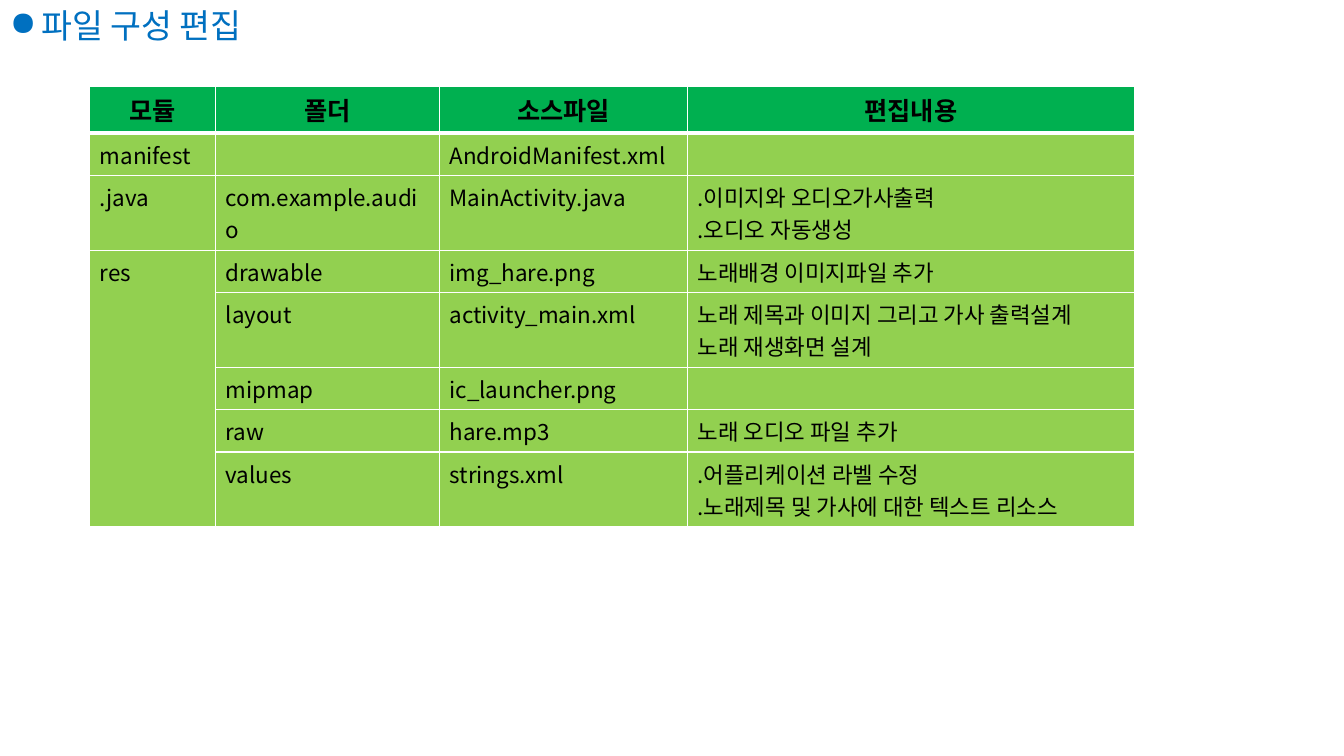
from lxml import etree
from pptx import Presentation
from pptx.dml.color import RGBColor
from pptx.enum.text import MSO_AUTO_SIZE, PP_ALIGN
from pptx.oxml.ns import qn
from pptx.util import Inches, Pt

CENTER, LEFT = PP_ALIGN.CENTER, PP_ALIGN.LEFT
FIT_SHAPE = MSO_AUTO_SIZE.SHAPE_TO_FIT_TEXT
FONT = "Noto Sans CJK KR"
BLACK, WHITE, BLUE = "000000", "FFFFFF", "0070C0"
HEADER_GREEN, BODY_GREEN = "00B050", "92D050"

COLUMN_WIDTHS = [1.25, 2.22, 2.46, 4.43]
HEADER_HEIGHT, SINGLE_HEIGHT, DOUBLE_HEIGHT = 0.45, 0.42, 0.74
RES_ROW = 3
ROWS = [
    ["모듈", "폴더", "소스파일", "편집내용"],
    ["manifest", "", "AndroidManifest.xml", ""],
    [".java", "com.example.audio", "MainActivity.java", ".이미지와 오디오가사출력\n.오디오 자동생성"],
    ["res", "drawable", "img_hare.png", "노래배경 이미지파일 추가"],
    ["", "layout", "activity_main.xml", "노래 제목과 이미지 그리고 가사 출력설계\n노래 재생화면 설계"],
    ["", "mipmap", "ic_launcher.png", ""],
    ["", "raw", "hare.mp3", "노래 오디오 파일 추가"],
    ["", "values", "strings.xml", ".어플리케이션 라벨 수정\n.노래제목 및 가사에 대한 텍스트 리소스"],
]


def color(value):
    """Turn a hex string into a colour."""
    return RGBColor.from_string(value)


def write_text(para, text, size=16, bold=False, fill=BLACK, align=LEFT):
    """Write one formatted span into a paragraph."""
    para.alignment = align
    span = para.add_run()
    span.text = text
    span.font.size = Pt(size)
    span.font.bold = bold
    span.font.name = FONT
    span.font.color.rgb = color(fill)
    east_asian = etree.SubElement(span.font._element, qn("a:ea"))
    east_asian.set("typeface", FONT)


def set_borders(cell, bottom):
    """Give a cell white borders, with its own bottom width."""
    properties = cell._tc.get_or_add_tcPr()
    widths = {"a:lnL": 1, "a:lnR": 1, "a:lnT": 1, "a:lnB": bottom}
    for position, (tag, width) in enumerate(widths.items()):
        line = etree.Element(qn(tag), w=str(Pt(width)))
        fill = etree.SubElement(line, qn("a:solidFill"))
        etree.SubElement(fill, qn("a:srgbClr"), val=WHITE)
        properties.insert(position, line)


def add_title(page, left, top, width, height):
    """Add the bulleted heading."""
    box = page.shapes.add_textbox(*map(Inches, (left, top, width, height)))
    frame = box.text_frame
    frame.word_wrap = False
    frame.auto_size = FIT_SHAPE
    para = frame.paragraphs[0]
    properties = para._p.get_or_add_pPr()
    properties.set("marL", str(Inches(0.31)))
    properties.set("indent", str(Inches(-0.31)))
    etree.SubElement(properties, qn("a:buChar"), char="●")
    write_text(para, "파일 구성 편집", size=24, fill=BLUE)


def row_height(index, texts):
    """Return the height that a row's longest cell needs."""
    if index == 0:
        return HEADER_HEIGHT
    return DOUBLE_HEIGHT if any("\n" in text for text in texts) else SINGLE_HEIGHT


def add_file_table(page, left, top):
    """Add the table of files to edit."""
    heights = [row_height(index, texts) for index, texts in enumerate(ROWS)]
    table = page.shapes.add_table(
        len(ROWS), len(COLUMN_WIDTHS), Inches(left), Inches(top),
        Inches(sum(COLUMN_WIDTHS)), Inches(sum(heights))).table
    for column, width in zip(table.columns, COLUMN_WIDTHS):
        column.width = Inches(width)
    for index, texts in enumerate(ROWS):
        table.rows[index].height = Inches(heights[index])
        header = index == 0
        for cell, text in zip(table.rows[index].cells, texts):
            cell.fill.solid()
            cell.fill.fore_color.rgb = color(HEADER_GREEN if header else BODY_GREEN)
            set_borders(cell, bottom=3 if header else 1)
            frame = cell.text_frame
            for number, line in enumerate(text.splitlines()):
                para = frame.add_paragraph() if number else frame.paragraphs[0]
                write_text(para, line, size=18 if header else 16, bold=header,
                           align=CENTER if header else LEFT)
    table.cell(RES_ROW, 0).merge(table.cell(len(ROWS) - 1, 0))


def main():
    """Build and save the deck."""
    deck = Presentation()
    deck.slide_width, deck.slide_height = Inches(13.33), Inches(7.5)
    page = deck.slides.add_slide(deck.slide_layouts[6])
    add_file_table(page, 0.89, 0.86)
    add_title(page, 0, 0, 2.78, 0.5)
    deck.save("out.pptx")


if __name__ == "__main__":
    main()
